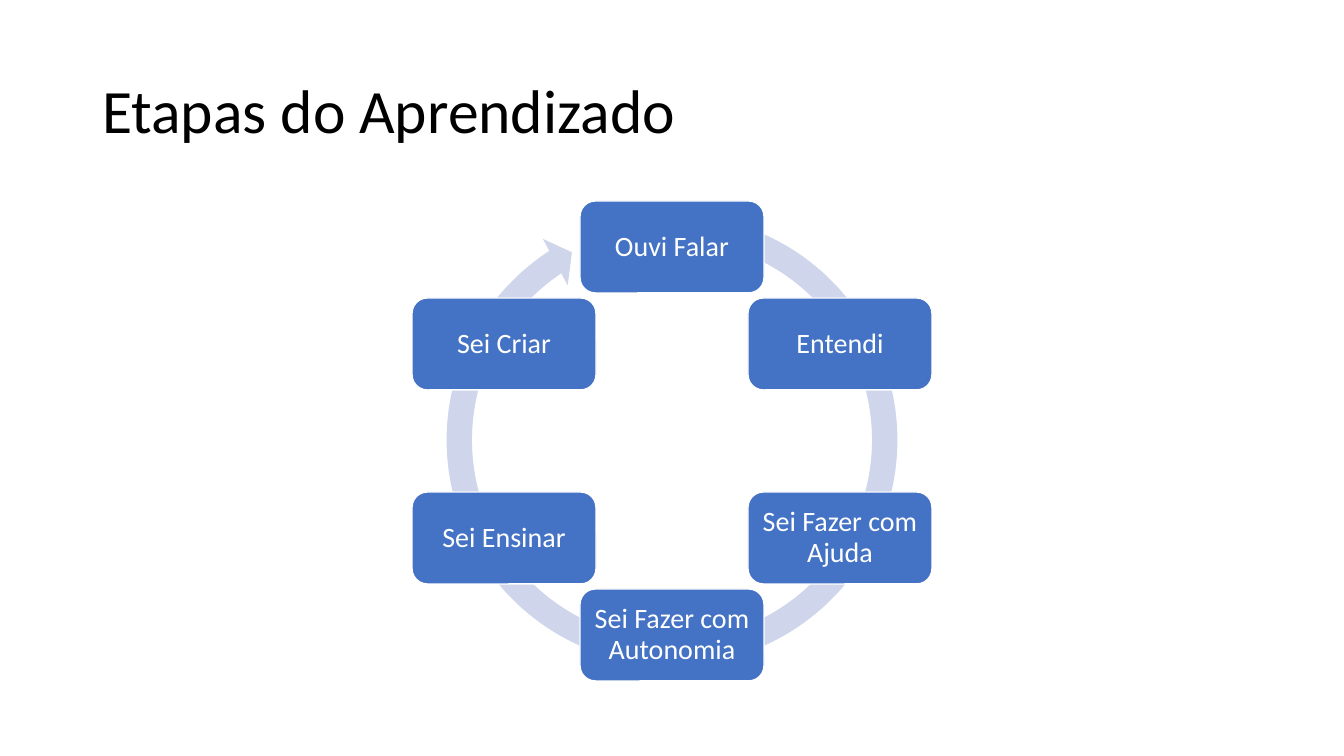
import math

from pptx import Presentation
from pptx.dml.color import RGBColor
from pptx.enum import shapes, text
from pptx.util import Pt

PX = 914400 / 100.8
BLACK = RGBColor(0x00, 0x00, 0x00)
WHITE = RGBColor(0xFF, 0xFF, 0xFF)
BLUE = RGBColor(0x44, 0x72, 0xC4)
PALE_BLUE = RGBColor(0xCF, 0xD5, 0xEA)


def px(*lengths):
    """Turn pixel lengths into EMU."""
    return [round(n * PX) for n in lengths]


def write(tf, words, size, color, align):
    tf.word_wrap = True
    tf.auto_size = text.MSO_AUTO_SIZE.NONE
    tf.vertical_anchor = text.MSO_ANCHOR.MIDDLE
    p = tf.paragraphs[0]
    p.alignment = align
    p.line_spacing = 0.9
    r = p.add_run()
    r.text = words
    r.font.name = "Calibri"
    r.font.size = Pt(size)
    r.font.color.rgb = color


prs = Presentation()
prs.slide_width, prs.slide_height = px(1344, 756)
s = prs.slides.add_slide(prs.slide_layouts[5])

title = s.shapes.title
title.left, title.top, title.width, title.height = px(92, 41, 1159, 146)
write(title.text_frame, "Etapas do Aprendizado", 44, BLACK, text.PP_ALIGN.LEFT)

ring = s.shapes.add_shape(shapes.MSO_SHAPE.CIRCULAR_ARROW, *px(433, 201, 478, 478))
for i, percent in enumerate([5.3, 312.6, 14203.9, 17141.2, 5.5]):
    ring.adjustments[i] = percent / 100
ring.fill.solid()
ring.fill.fore_color.rgb = PALE_BLUE
ring.line.fill.background()
ring.shadow.inherit = False

# The stages sit at equal angles, clockwise from the top
stages = ["Ouvi Falar", "Entendi", "Sei Fazer com Ajuda",
          "Sei Fazer com Autonomia", "Sei Ensinar", "Sei Criar"]
CENTER_X, CENTER_Y, RADIUS = 672, 441, 194
BOX_W, BOX_H, INSET = 184, 92, 7
for i, stage in enumerate(stages):
    angle = 2 * math.pi * i / len(stages)
    x = round(CENTER_X + RADIUS * math.sin(angle) - BOX_W / 2)
    y = round(CENTER_Y - RADIUS * math.cos(angle) - BOX_H / 2)
    box = s.shapes.add_shape(shapes.MSO_SHAPE.ROUNDED_RECTANGLE,
                             *px(x, y, BOX_W, BOX_H))
    box.fill.solid()
    box.fill.fore_color.rgb = BLUE
    box.line.color.rgb = WHITE
    box.line.width = Pt(1)
    box.shadow.inherit = False
    tf = box.text_frame
    tf.margin_left, tf.margin_right, tf.margin_top, tf.margin_bottom = px(*[INSET] * 4)
    write(tf, stage, 20, WHITE, text.PP_ALIGN.CENTER)

prs.save("out.pptx")
